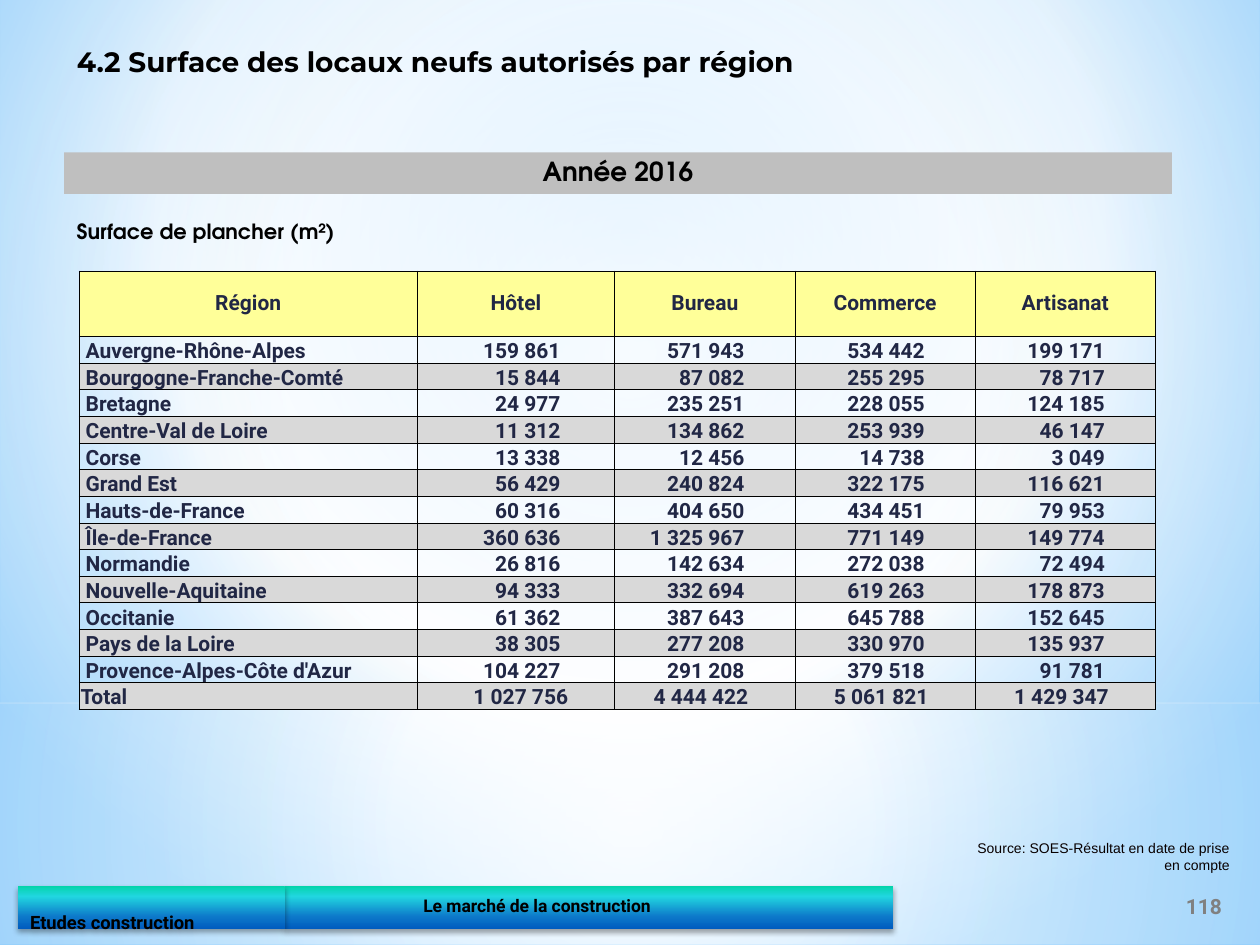
from lxml import etree
from pptx import Presentation
from pptx.dml.color import RGBColor
from pptx.enum.shapes import MSO_SHAPE
from pptx.enum.text import MSO_ANCHOR, MSO_AUTO_SIZE, PP_ALIGN
from pptx.oxml import parse_xml
from pptx.oxml.ns import nsdecls, qn
from pptx.util import Inches, Pt

RECTANGLE = MSO_SHAPE.RECTANGLE
TOP, MIDDLE, BOTTOM = MSO_ANCHOR.TOP, MSO_ANCHOR.MIDDLE, MSO_ANCHOR.BOTTOM
LEFT, CENTER, RIGHT = PP_ALIGN.LEFT, PP_ALIGN.CENTER, PP_ALIGN.RIGHT
NO_AUTOFIT = MSO_AUTO_SIZE.NONE

BLACK = RGBColor(0x00, 0x00, 0x00)
NAVY = RGBColor(0x21, 0x27, 0x45)
GREY_TEXT = RGBColor(0x80, 0x80, 0x80)
SOURCE_TEXT = RGBColor(0x08, 0x00, 0x00)
BAND_GREY = RGBColor(0xBF, 0xBF, 0xBF)
ROW_GREY = RGBColor(0xD9, 0xD9, 0xD9)
HEADER_YELLOW = RGBColor(0xFF, 0xFF, 0x99)
WHITE = RGBColor(0xFF, 0xFF, 0xFF)
SKY = RGBColor(0x9E, 0xD5, 0xFF)
DEEP_SKY = RGBColor(0x5B, 0xB9, 0xFF)
PALE_BLUE = RGBColor(0xB4, 0xDC, 0xFA)
BAR_COLOURS = [RGBColor(0x03, 0xD4, 0xA8), RGBColor(0x21, 0xD6, 0xE0),
               RGBColor(0x0D, 0x79, 0xCA), RGBColor(0x00, 0x5C, 0xBF)]

prs = Presentation()
prs.slide_width, prs.slide_height = Inches(10), Inches(7.5)
COL, ROW = prs.slide_width / 100, prs.slide_height / 100


def area(left, top, width, height):
    return int(left * COL), int(top * ROW), int(width * COL), int(height * ROW)


def write(holder, text, font, colour, align=LEFT, spacing=0.9, **layout):
    for key, value in layout.items():
        setattr(holder, key, value)
    frame = getattr(holder, "text_frame", holder)
    paragraph = frame.paragraphs[0]
    paragraph.alignment, paragraph.line_spacing = align, spacing
    run = paragraph.add_run()
    run.text = text
    for key, value in font.items():
        setattr(run.font, key, value)
    run.font.color.rgb = colour


slide = prs.slides.add_slide(prs.slide_layouts[5])
shapes = slide.shapes
title = shapes.title

lower_veil = shapes.add_shape(RECTANGLE, *area(0, 74.4, 100, 25.6))
upper_veil = shapes.add_shape(RECTANGLE, *area(0, 0, 100, 74.4))
chapter_bar = shapes.add_shape(RECTANGLE, *area(22.6, 93.73, 48.3, 4.53))
series_bar = shapes.add_shape(RECTANGLE, *area(1.4, 93.73, 21.2, 4.53))
year_band = shapes.add_shape(RECTANGLE, *area(5.1, 16.13, 87.9, 4.4))
for panel in (lower_veil, upper_veil, chapter_bar, series_bar, year_band):
    panel.shadow.inherit = False
    panel.line.fill.background()
    panel.fill.solid()
    panel.fill.fore_color.rgb = BAND_GREY
slide.background.fill.solid()

CIRCLE = '<a:path path="circle"><a:fillToRect l="{}" t="{}" r="{}" b="{}"/></a:path>'
CENTRED = CIRCLE.format(50000, 50000, 50000, 50000)
DOWNWARD = '<a:lin ang="5400000" scaled="0"/>'
bar_stops = [(at, colour, 100) for at, colour in zip((0, 25, 72, 100), BAR_COLOURS)]
gradients = [
    (slide.element.find(".//" + qn("p:bgPr")), CIRCLE.format(20000, 10000, 20000, 60000),
     [(0, SKY, 100), (60, WHITE, 100), (100, DEEP_SKY, 100)]),
    (lower_veil.element.spPr, CENTRED,
     [(0, WHITE, 91), (37, WHITE, 76), (100, PALE_BLUE, 79)]),
    (upper_veil.element.spPr, CENTRED,
     [(0, WHITE, 89), (48, WHITE, 62), (100, PALE_BLUE, 79)]),
    (chapter_bar.element.spPr, DOWNWARD, bar_stops),
    (series_bar.element.spPr, DOWNWARD, bar_stops),
]
for properties, direction, stops in gradients:
    stop_xml = "".join(
        f'<a:gs pos="{at * 1000}"><a:srgbClr val="{colour}">'
        f'<a:alpha val="{opacity * 1000}"/></a:srgbClr></a:gs>'
        for at, colour, opacity in stops)
    gradient = parse_xml(f'<a:gradFill {nsdecls("a")} rotWithShape="1">'
                         f'<a:gsLst>{stop_xml}</a:gsLst>{direction}</a:gradFill>')
    properties.replace(properties.find(qn("a:solidFill")), gradient)

for bar in (chapter_bar, series_bar):
    bar.element.spPr.find(qn("a:effectLst")).append(parse_xml(
        f'<a:outerShdw {nsdecls("a")} blurRad="{Pt(3.1)}" dist="{Pt(1.8)}" dir="5400000" '
        f'rotWithShape="0"><a:srgbClr val="{BLACK}"><a:alpha val="35000"/></a:srgbClr>'
        '</a:outerShdw>'))

ROBOTO = {"name": "Roboto", "bold": True}
ADVENTOR = {"name": "TeX Gyre Adventor", "bold": True}

write(chapter_bar.text_frame, "Le marché de la construction", ROBOTO | {"size": Pt(10)}, BLACK,
      word_wrap=True, vertical_anchor=MIDDLE, margin_left=int(11 * COL))
write(series_bar.text_frame, "Etudes construction", ROBOTO | {"size": Pt(10.5)}, BLACK,
      word_wrap=True, vertical_anchor=TOP, margin_top=int(2.9 * ROW), margin_bottom=0)
write(year_band.text_frame, "Année 2016", ADVENTOR | {"size": Pt(15)}, BLACK, CENTER,
      word_wrap=True, vertical_anchor=TOP)

page_number = shapes.add_textbox(*area(92.6, 93.2, 5.9, 5.33))
write(page_number.text_frame, "118", ROBOTO | {"size": Pt(12)}, GREY_TEXT, CENTER, 1,
      word_wrap=True, vertical_anchor=MIDDLE)
unit_label = shapes.add_textbox(*area(5.1, 22.8, 22.8, 3.73))
write(unit_label.text_frame, "Surface de plancher (m²)", ADVENTOR | {"size": Pt(12)}, BLACK,
      word_wrap=True)

shapes._spTree.append(title.element)
title.left, title.top, title.width, title.height = area(5.1, 4.4, 64.3, 5.87)
write(title.text_frame, "4.2 Surface des locaux neufs autorisés par région",
      {"name": "Montserrat", "size": Pt(16), "bold": True}, BLACK,
      word_wrap=True, auto_size=NO_AUTOFIT, vertical_anchor=TOP)

surfaces = [
    ("Région", "Hôtel", "Bureau", "Commerce", "Artisanat"),
    ("Auvergne-Rhône-Alpes", "159 861", "571 943", "534 442", "199 171"),
    ("Bourgogne-Franche-Comté", "15 844", "87 082", "255 295", "78 717"),
    ("Bretagne", "24 977", "235 251", "228 055", "124 185"),
    ("Centre-Val de Loire", "11 312", "134 862", "253 939", "46 147"),
    ("Corse", "13 338", "12 456", "14 738", "3 049"),
    ("Grand Est", "56 429", "240 824", "322 175", "116 621"),
    ("Hauts-de-France", "60 316", "404 650", "434 451", "79 953"),
    ("Île-de-France", "360 636", "1 325 967", "771 149", "149 774"),
    ("Normandie", "26 816", "142 634", "272 038", "72 494"),
    ("Nouvelle-Aquitaine", "94 333", "332 694", "619 263", "178 873"),
    ("Occitanie", "61 362", "387 643", "645 788", "152 645"),
    ("Pays de la Loire", "38 305", "277 208", "330 970", "135 937"),
    ("Provence-Alpes-Côte d'Azur", "104 227", "291 208", "379 518", "91 781"),
    ("Total", "1 027 756", "4 444 422", "5 061 821", "1 429 347"),
]
last = len(surfaces) - 1
table = shapes.add_table(len(surfaces), 5, *area(6.3, 28.67, 85.5, 46.4)).table
table.first_row = table.horz_banding = False
for column, width in zip(table.columns, (26.8, 15.7, 14.3, 14.3, 14.3)):
    column.width = int(width * COL)

for r, record in enumerate(surfaces):
    table.rows[r].height = int((2.82 if r else 6.93) * ROW)
    for c, entry in enumerate(record):
        cell = table.cell(r, c)
        edge = 0.1
        indent = 0.5 if c == 0 and 0 < r < last else edge
        inset = (3.7 if r == last else 4.3 if c == 1 else 4) if r and c else edge
        write(cell, entry, ROBOTO | {"size": Pt(12)}, NAVY,
              CENTER if r == 0 else RIGHT if c else LEFT,
              vertical_anchor=BOTTOM if r else MIDDLE,
              margin_left=int(indent * COL), margin_right=int(inset * COL),
              margin_top=int(edge * COL), margin_bottom=0)
        for side in ("a:lnL", "a:lnR", "a:lnT", "a:lnB"):
            border = etree.SubElement(cell._tc.get_or_add_tcPr(), qn(side), w=str(Pt(0.5)))
            ink = etree.SubElement(border, qn("a:solidFill"))
            etree.SubElement(ink, qn("a:srgbClr"), val=str(BLACK))
        if r % 2:
            cell.fill.background()
        else:
            cell.fill.solid()
            cell.fill.fore_color.rgb = ROW_GREY if r else HEADER_YELLOW

source_note = shapes.add_textbox(*area(76.5, 88.53, 22.1, 4.13))
write(source_note.text_frame, "Source: SOES-Résultat en date de prise en compte",
      {"name": "Arial", "size": Pt(8)}, SOURCE_TEXT, RIGHT, 1,
      word_wrap=False, vertical_anchor=MIDDLE)

prs.save("out.pptx")
